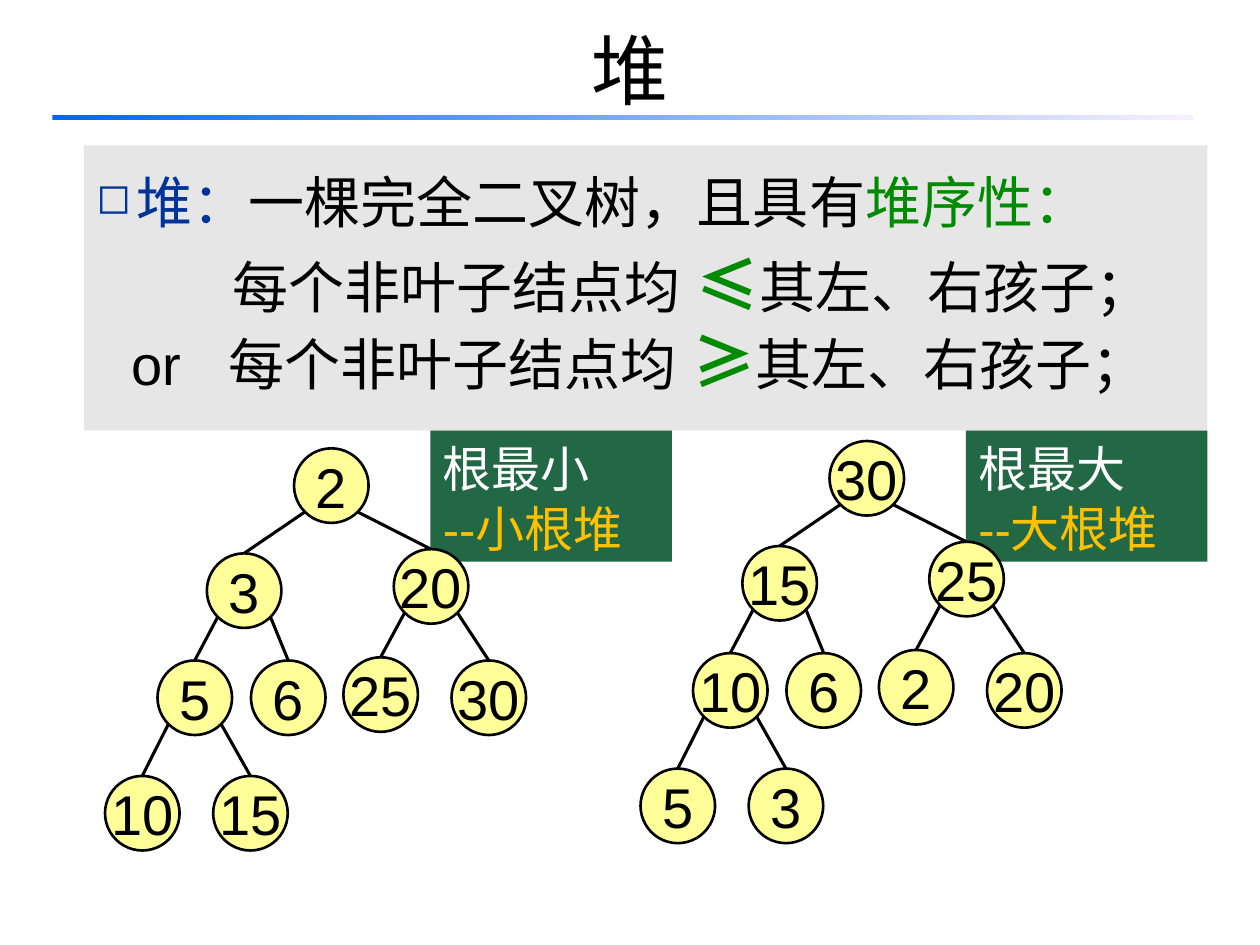
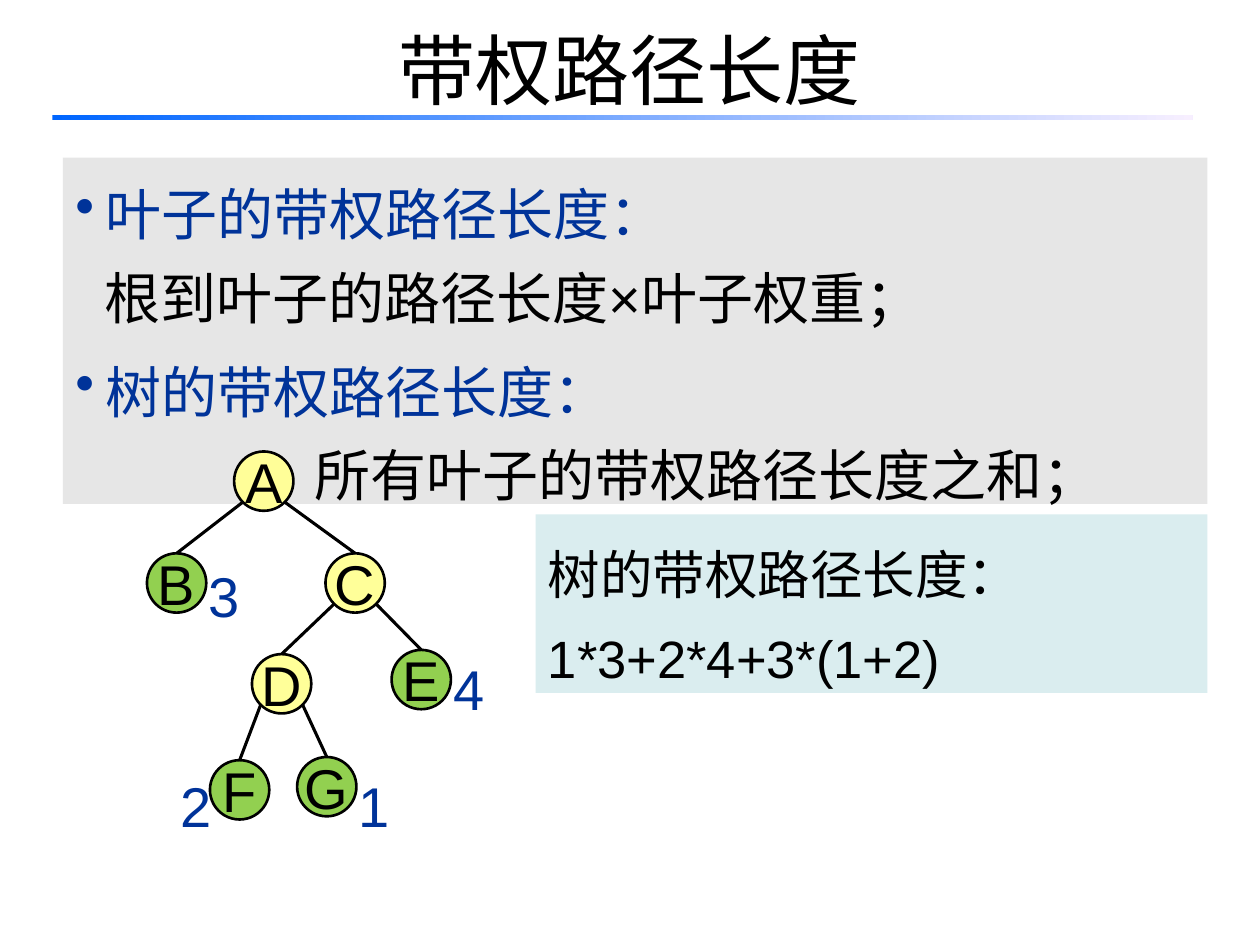
from lxml.etree import SubElement
from pptx import Presentation
from pptx.dml.color import RGBColor
from pptx.enum.shapes import MSO_CONNECTOR, MSO_SHAPE
from pptx.enum.text import MSO_ANCHOR, PP_ALIGN
from pptx.oxml.ns import qn
from pptx.util import Inches, Pt

COLORS = {
    "black": "000000", "white": "FFFFFF", "blue": "003399", "green": "008A00",
    "gold": "FFC000", "panel": "E6E6E6", "dark green": "226845", "pale teal": "DAEDEF",
    "rule start": "0066FF", "rule end": "F7EFFF",
    "root": "FFFE98", "inner": "FFFF99", "leaf": "92D050",
}
CJK_FONT = "Noto Sans CJK SC"

presentation = Presentation()
presentation.slide_width, presentation.slide_height = Inches(10), Inches(7.5)
COLUMN = presentation.slide_width / 120
ROW = presentation.slide_height / 90
ZERO_MARGINS = dict.fromkeys(("margin_left", "margin_right", "margin_top", "margin_bottom"), 0)
CENTERED = {"alignment": PP_ALIGN.CENTER}
MIDDLE = {"vertical_anchor": MSO_ANCHOR.MIDDLE}


def add_box(slide, area, paragraphs, fill=None, kind=MSO_SHAPE.RECTANGLE, size=32,
            frame_format=None):
    """Add a shape at (column, row, columns, rows).

    Each paragraph is (runs, paragraph format, list format); each run is
    (text, color name) or (text, color name, font format).
    """
    left, top, width, height = area
    shape = slide.shapes.add_shape(kind, round(left * COLUMN), round(top * ROW),
                                   round(width * COLUMN), round(height * ROW))
    shape.shadow.inherit = False
    shape.line.fill.background()
    if fill:
        shape.fill.solid()
        shape.fill.fore_color.rgb = RGBColor.from_string(COLORS[fill])
    else:
        shape.fill.background()
    frame = shape.text_frame
    for name, value in {"word_wrap": True, "vertical_anchor": MSO_ANCHOR.TOP,
                        **(frame_format or {})}.items():
        setattr(frame, name, value)
    for index, (runs, paragraph_format, list_format) in enumerate(paragraphs):
        paragraph = frame.add_paragraph() if index else frame.paragraphs[0]
        for name, value in {"alignment": PP_ALIGN.LEFT, **paragraph_format}.items():
            setattr(paragraph, name, value)
        properties = paragraph._p.get_or_add_pPr()
        properties.set("marL", str(Inches(list_format.get("margin", 0))))
        properties.set("indent", str(Inches(list_format.get("indent", 0))))
        if "bullet" in list_format:
            scale = list_format.get("bullet size", 100) * 1000
            SubElement(properties, qn("a:buSzPct"), val=str(scale))
            SubElement(properties, qn("a:buChar"), char=list_format["bullet"])
        for text, color, *font_format in runs:
            run = paragraph.add_run()
            run.text = text
            settings = {"name": "Arial", "size": Pt(size), "bold": False}
            settings.update(*font_format)
            spacing = settings.pop("spacing", None)
            for name, value in settings.items():
                setattr(run.font, name, value)
            run.font.color.rgb = RGBColor.from_string(COLORS[color])
            run_properties = run._r.get_or_add_rPr()
            run_properties.set("lang", "zh-CN")
            SubElement(run_properties, qn("a:ea"), typeface=settings["name"])
            if spacing:
                run_properties.set("spc", str(spacing * 100))
    return shape


def add_tree(slide, nodes, parents, diameter):
    """Draw (label, column, row, color name) circles and join each to its parent."""
    circles = []
    for (label, column, row, color), parent in zip(nodes, parents):
        circle = add_box(slide, (column, row, diameter, diameter),
                         [([(label, "black")], CENTERED, {})], color, MSO_SHAPE.OVAL,
                         frame_format={**ZERO_MARGINS, **MIDDLE, "word_wrap": False})
        circle.line.color.rgb = RGBColor.from_string(COLORS["black"])
        circle.line.width = Pt(1.5)
        circles.append(circle)
        if parent is None:
            continue
        above = circles[parent]
        radius = above.width / 2
        reach = radius * 0.5 ** 0.5
        side = 1 if circle.left > above.left else -1
        edge = slide.shapes.add_connector(
            MSO_CONNECTOR.STRAIGHT,
            round(above.left + radius + side * reach), round(above.top + radius + reach),
            round(circle.left + circle.width / 2), circle.top)
        edge.end_connect(circle, 0)
        edge.line.color.rgb = RGBColor.from_string(COLORS["black"])
        edge.line.width = Pt(1.75)
        SubElement(edge._element.spPr, qn("a:effectLst"))


# Shared title and gradient rule
slides = []
for title in ("堆", "带权路径长度"):
    slide = presentation.slides.add_slide(presentation.slide_layouts[6])
    add_box(slide, (6, -1, 108, 15), [([(title, "black", {"name": CJK_FONT})], CENTERED, {})],
            size=44, frame_format=MIDDLE)
    rule = add_box(slide, (5, 10.95, 108.6, 0.45), [])
    rule.fill.gradient()
    rule.fill.gradient_angle = 0
    for stop, color in zip(rule.fill.gradient_stops, ("rule start", "rule end")):
        stop.color.rgb = RGBColor.from_string(COLORS[color])
    slides.append(slide)
heap_slide, weight_slide = slides

# Heap: definition, then a minimum heap and a maximum heap on the same layout
SIGN = {"name": CJK_FONT, "size": Pt(36), "bold": True}
order_lines = [
    [("每个非叶子结点均 ", "black"), ("≤", "green", SIGN), ("其左、右孩子；", "black")],
    [("or", "black"), (" ", "black", {"spacing": 18}),
     ("每个非叶子结点均 ", "black"), ("≥", "green", SIGN), ("其左、右孩子；", "black")],
]
definition = [([("堆：", "blue"), ("一棵完全二叉树，且具有", "black"), ("堆序性：", "green")],
               {"line_spacing": 1.24},
               {"margin": 0.32, "indent": -0.32, "bullet": "◻", "bullet size": 75})]
for runs, margin, gap in zip(order_lines, (1.08, 0.28), (5, 0)):
    definition.append((runs, {"line_spacing": 1.02, "space_before": Pt(gap)},
                       {"margin": margin}))

HEAP_OFFSET = (51, -0.7)
HEAP_PLACES = [(28, 42.7), (19.7, 52.7), (37.5, 52.3), (15, 62.9), (23.9, 62.9),
               (32.7, 62.6), (43, 62.9), (10, 73.9), (20.3, 73.9)]
heaps = [
    ("根最小", "--小根堆", (2, 3, 20, 5, 6, 25, 30, 10, 15)),
    ("根最大", "--大根堆", (30, 15, 25, 10, 6, 2, 20, 5, 3)),
]
for number, (rule_text, heap_name, keys) in enumerate(heaps):
    add_box(heap_slide, (41 + number * HEAP_OFFSET[0], 41, 23, 12.5),
            [([(text, color)], {"line_spacing": 1.03}, {})
             for text, color in ((rule_text, "white"), (heap_name, "gold"))],
            "dark green", size=28)
add_box(heap_slide, (8, 13.85, 107, 27.15), definition, "panel")
for number, (rule_text, heap_name, keys) in enumerate(heaps):
    nodes = [(str(key), column + number * HEAP_OFFSET[0], row + number * HEAP_OFFSET[1],
              "inner" if index else "root")
             for index, (key, (column, row)) in enumerate(zip(keys, HEAP_PLACES))]
    parents = [(index - 1) // 2 if index else None for index in range(len(nodes))]
    add_tree(heap_slide, nodes, parents, 7.1)

# Weighted path length: definitions, worked example, tree with leaf weights
BULLETED = {"margin": 0.24, "indent": -0.24, "bullet": "•"}
path_definitions = [
    ([(text, color)], {"line_spacing": 1.24, "space_before": Pt(gap)}, list_format)
    for text, color, gap, list_format in (
        ("叶子的带权路径长度：", "blue", 0, BULLETED),
        ("根到叶子的路径长度×叶子权重；", "black", 0, {"margin": 0.23}),
        ("树的带权路径长度：", "blue", 6, BULLETED),
        ("所有叶子的带权路径长度之和；", "black", 0, {"margin": 1.9}),
    )
]
add_box(weight_slide, (6, 15, 109, 33), path_definitions, "panel")
add_box(weight_slide, (51, 49, 64, 17),
        [([(text, "black")], {"line_spacing": 1.34}, {})
         for text in ("树的带权路径长度：", "1*3+2*4+3*(1+2)")],
        "pale teal", size=30)
add_tree(weight_slide, [
    ("A", 22.3, 43, "root"), ("B", 14, 52.7, "leaf"), ("C", 31, 52.7, "inner"),
    ("D", 24, 62.3, "inner"), ("E", 37.3, 61.9, "leaf"),
    ("F", 20, 72.4, "leaf"), ("G", 28.3, 72.1, "leaf"),
], [None, 0, 0, 2, 2, 3, 3], 5.65)
for weight, column, row in (("3", 18.7, 51), ("4", 42, 59.9), ("2", 16, 71), ("1", 33, 71)):
    add_box(weight_slide, (column, row, 9, 9),
            [([(weight, "blue")], {"line_spacing": 1.29}, {})])

presentation.save("out.pptx")
